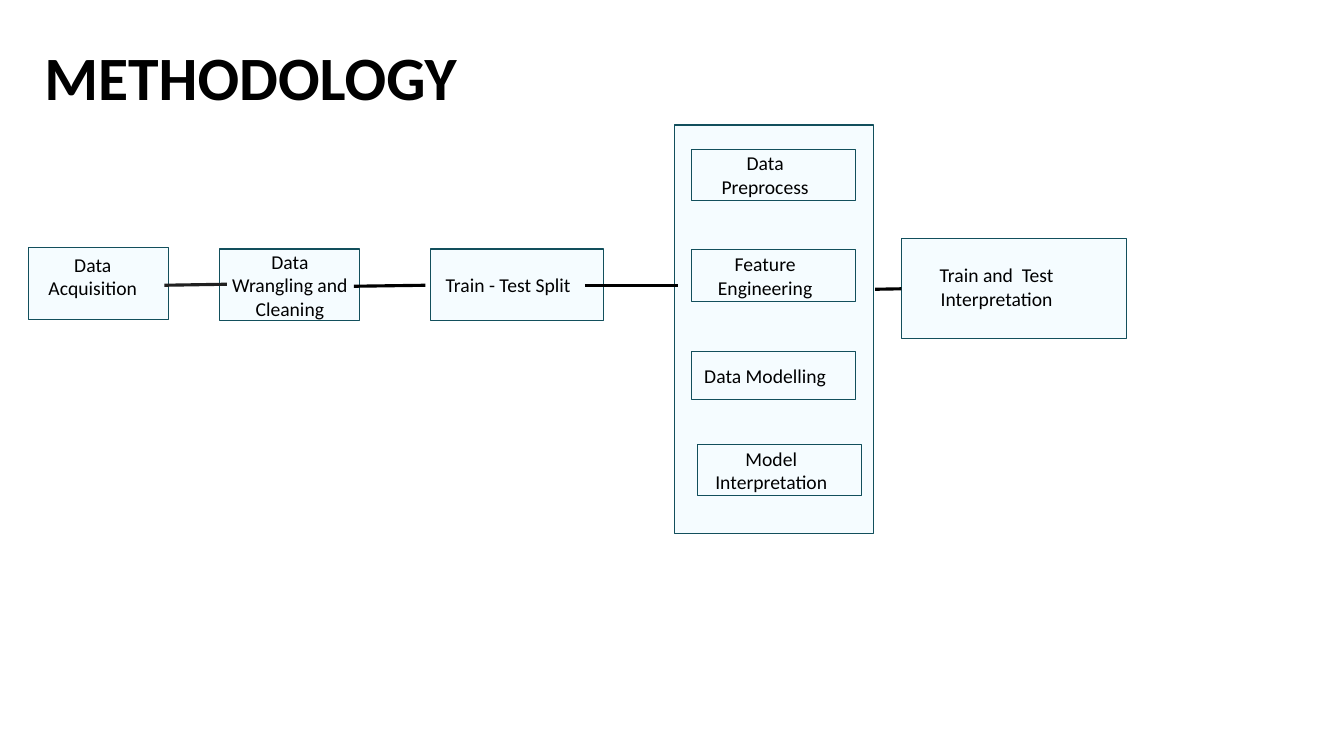
import pptx
import pptx.dml.color
import pptx.enum.shapes
import pptx.enum.text
import pptx.oxml
import pptx.util

Inches = pptx.util.Inches
Pt = pptx.util.Pt
RGBColor = pptx.dml.color.RGBColor

PALE = RGBColor(0xF5, 0xFC, 0xFF)
TEAL = RGBColor(0x12, 0x4F, 0x5C)
BLACK = RGBColor(0, 0, 0)
CHARCOAL = RGBColor(0x20, 0x20, 0x20)


class FlowPage:
    font_name = "Calibri"
    label_size = 14
    title_size = 44

    def __init__(self, deck):
        self.page = deck.slides.add_slide(deck.slide_layouts[6])

    def set_label(self, box, text, size, bold=False):
        frame = box.text_frame
        frame.word_wrap = True
        frame.vertical_anchor = pptx.enum.text.MSO_ANCHOR.MIDDLE
        frame.text = text
        for para in frame.paragraphs:
            for span in para.runs:
                span.font.name = self.font_name
                span.font.size = Pt(size)
                span.font.bold = bold
                span.font.color.rgb = BLACK
        return frame

    def title(self, left, top, width, height, text):
        box = self.page.shapes.add_textbox(
            Inches(left), Inches(top), Inches(width), Inches(height))
        frame = self.set_label(box, text, self.title_size, bold=True)
        frame.margin_left = frame.margin_right = frame.margin_bottom = 0
        frame.margin_top = Inches(0.05)

    def panel(self, left, top, width, height):
        box = self.page.shapes.add_shape(
            pptx.enum.shapes.MSO_SHAPE.RECTANGLE,
            Inches(left), Inches(top), Inches(width), Inches(height))
        box.shadow.inherit = False
        box.fill.solid()
        box.fill.fore_color.rgb = PALE
        box.line.color.rgb = TEAL
        box.line.width = Pt(0.75)
        return box

    def step(self, left, top, width, height, text, insets):
        """Draw a labelled rectangle; insets are left, right and bottom."""
        box = self.panel(left, top, width, height)
        frame = self.set_label(box, text, self.label_size)
        frame.margin_left, frame.margin_right, frame.margin_bottom = map(Inches, insets)
        frame.margin_top = 0
        frame.paragraphs[0].alignment = pptx.enum.text.PP_ALIGN.CENTER
        return box

    def link(self, start, end, color=BLACK):
        line = self.page.shapes.add_connector(
            pptx.enum.shapes.MSO_CONNECTOR.STRAIGHT, *map(Inches, start + end))
        line.line.color.rgb = color
        line.line.width = Pt(2.25)
        line._element.spPr.append(pptx.oxml.parse_xml(
            '<a:effectLst xmlns:a='
            '"http://schemas.openxmlformats.org/drawingml/2006/main"/>'))
        return line


def main():
    deck = pptx.Presentation()
    deck.slide_width = Inches(13.33)
    deck.slide_height = Inches(7.5)
    flow = FlowPage(deck)

    flow.title(0.44, 0.35, 4.59, 0.75, "METHODOLOGY")
    flow.step(0.28, 2.46, 1.39, 0.71, "Data Acquisition", (0.15, 0.26, 0.15))
    flow.step(2.18, 2.47, 1.39, 0.71, "Data Wrangling and Cleaning", (0.12, 0.12, 0))
    flow.step(4.27, 2.47, 1.72, 0.71, "Train - Test Split", (0.1, 0.28, 0))

    flow.panel(6.69, 1.24, 1.97, 4.05)
    wrapped, single_line = (0.15, 0.32, 0), (0.05, 0.22, 0)
    for left, top, height, text, insets in [
        (6.86, 1.48, 0.51, "Data Preprocess", wrapped),
        (6.86, 2.48, 0.51, "Feature Engineering", wrapped),
        (6.86, 3.49, 0.47, "Data Modelling", single_line),
        (6.92, 4.41, 0.51, "Model Interpretation", wrapped),
    ]:
        flow.step(left, top, 1.63, height, text, insets)

    result = flow.step(8.94, 2.37, 2.23, 0.99, "Train and  Test Interpretation",
                       (0.3, 0.64, 0.04))

    flow.link((1.63, 2.83), (2.25, 2.82), CHARCOAL)
    flow.link((3.51, 2.84), (4.22, 2.83))
    flow.link((5.8, 2.83), (6.72, 2.83))
    flow.link((8.68, 2.87), (8.94, 2.87)).end_connect(result, 1)

    deck.save("out.pptx")


if __name__ == "__main__":
    main()
